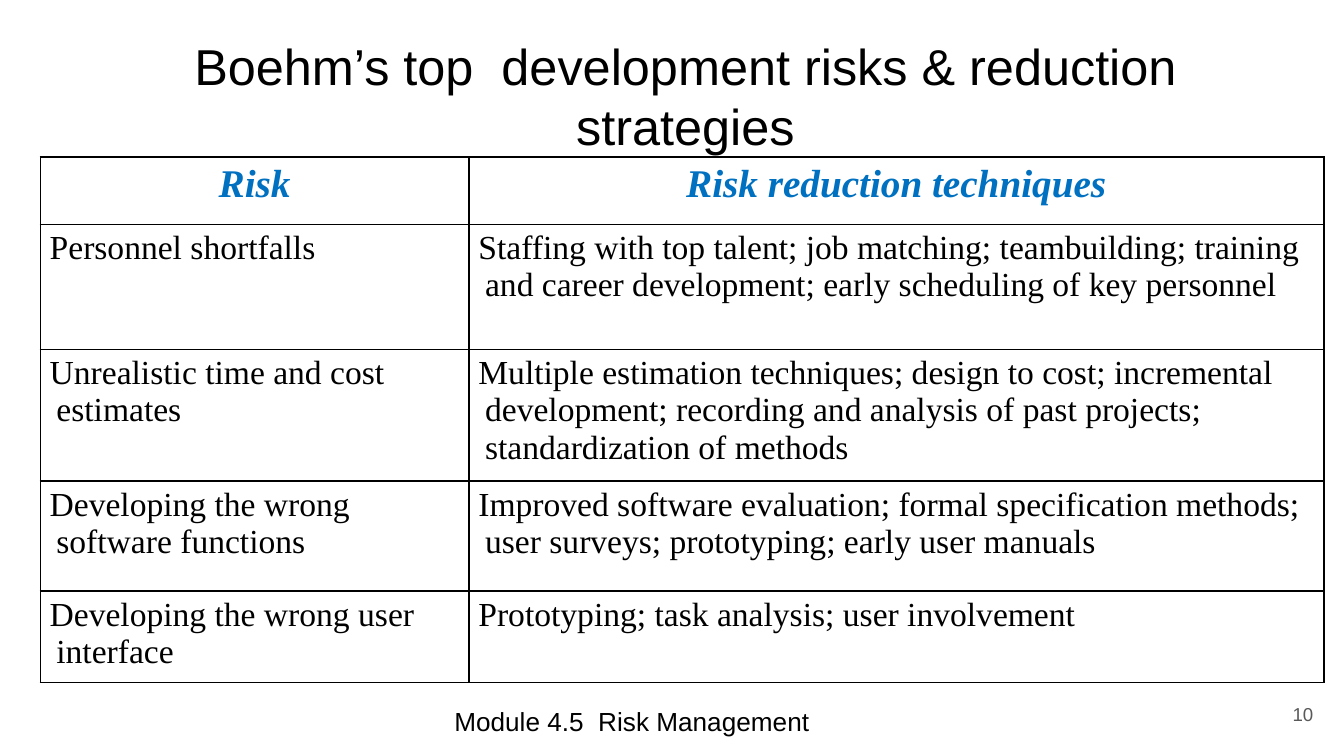
from lxml import etree
from pptx import Presentation
from pptx.dml.color import RGBColor
from pptx.enum.text import MSO_ANCHOR, PP_ALIGN
from pptx.oxml.ns import qn
from pptx.util import Inches, Pt

# Content
TITLE = "Boehm’s top  development risks & reduction strategies"
FOOTER = "Module 4.5  Risk Management"
PAGE_NUMBER = "10"
RISKS = [
    ("Risk", "Risk reduction techniques"),
    ("Personnel shortfalls",
     "Staffing with top talent; job matching; teambuilding; training and "
     "career development; early scheduling of key personnel"),
    ("Unrealistic time and cost estimates",
     "Multiple estimation techniques; design to cost; incremental development; "
     "recording and analysis of past projects; standardization of methods"),
    ("Developing the wrong software functions",
     "Improved software evaluation; formal specification methods; "
     "user surveys; prototyping; early user manuals"),
    ("Developing the wrong user interface",
     "Prototyping; task analysis; user involvement"),
]
COLUMN_WIDTHS = [3.19, 6.36]
ROW_HEIGHTS = [0.5, 0.93, 0.97, 0.82, 0.67]
BLACK, WHITE, BLUE, GRAY = "000000", "FFFFFF", "0070C0", "595959"


def rgb(color):
    return RGBColor.from_string(color)


def set_margins(target, side, vertical):
    target.margin_left = target.margin_right = Inches(side)
    target.margin_top = target.margin_bottom = Inches(vertical)


def style(paragraph, size, color, font, align, emphasis=False):
    paragraph.alignment = align
    for run in paragraph.runs:
        run.font.size = Pt(size)
        run.font.name = font
        run.font.color.rgb = rgb(color)
        run.font.bold = run.font.italic = emphasis


def add_text(slide, box, text, size, color, align, margins, anchor=MSO_ANCHOR.TOP):
    frame = slide.shapes.add_textbox(*map(Inches, box)).text_frame
    frame.word_wrap = True
    frame.vertical_anchor = anchor
    set_margins(frame, *margins)
    frame.text = text
    style(frame.paragraphs[0], size, color, "Arial", align)


def add_borders(cell):
    properties = cell._tc.get_or_add_tcPr()
    for position, side in enumerate(("a:lnL", "a:lnR", "a:lnT", "a:lnB")):
        line = etree.Element(qn(side), w=str(Pt(1)))
        fill = etree.SubElement(line, qn("a:solidFill"))
        etree.SubElement(fill, qn("a:srgbClr"), val=BLACK)
        properties.insert(position, line)


def set_hanging_indent(paragraph, inches):
    properties = paragraph._p.get_or_add_pPr()
    properties.set("marL", str(Inches(inches)))
    properties.set("indent", str(-Inches(inches)))


def add_risk_table(slide):
    table = slide.shapes.add_table(
        len(RISKS), len(COLUMN_WIDTHS), Inches(0.3), Inches(1.17),
        Inches(sum(COLUMN_WIDTHS)), Inches(sum(ROW_HEIGHTS))).table
    for column, width in zip(table.columns, COLUMN_WIDTHS):
        column.width = Inches(width)
    for row, height in zip(table.rows, ROW_HEIGHTS):
        row.height = Inches(height)

    for r, texts in enumerate(RISKS):
        for c, text in enumerate(texts):
            cell = table.cell(r, c)
            cell.fill.solid()
            cell.fill.fore_color.rgb = rgb(WHITE)
            set_margins(cell, 0.07, 0.04)
            add_borders(cell)
            cell.text_frame.text = text
            paragraph = cell.text_frame.paragraphs[0]
            if r == 0:
                style(paragraph, 21, BLUE, "Times New Roman", PP_ALIGN.CENTER, True)
            else:
                style(paragraph, 18, BLACK, "Times New Roman", PP_ALIGN.LEFT)
            # The header row and the first risk hang further than the rest
            set_hanging_indent(paragraph, 0.38 if r == 0 or (r, c) == (1, 0) else 0.05)


def main():
    presentation = Presentation()
    presentation.slide_width = Inches(10)
    presentation.slide_height = Inches(10 * 9 / 16)
    slide = presentation.slides.add_slide(presentation.slide_layouts[6])

    # Title, footer and page number
    add_text(slide, (0.69, 0.16, 8.82, 0.7), TITLE, 27, BLACK,
             PP_ALIGN.CENTER, (0.1, 0.1))
    add_text(slide, (3.31, 5.21, 3.38, 0.3), FOOTER, 14, BLACK,
             PP_ALIGN.LEFT, (0.07, 0.04))
    add_text(slide, (9.27, 5.1, 0.6, 0.43), PAGE_NUMBER, 10, GRAY,
             PP_ALIGN.RIGHT, (0.1, 0.1), MSO_ANCHOR.MIDDLE)

    # Risks and their reduction techniques
    add_risk_table(slide)
    presentation.save("out.pptx")


if __name__ == "__main__":
    main()
